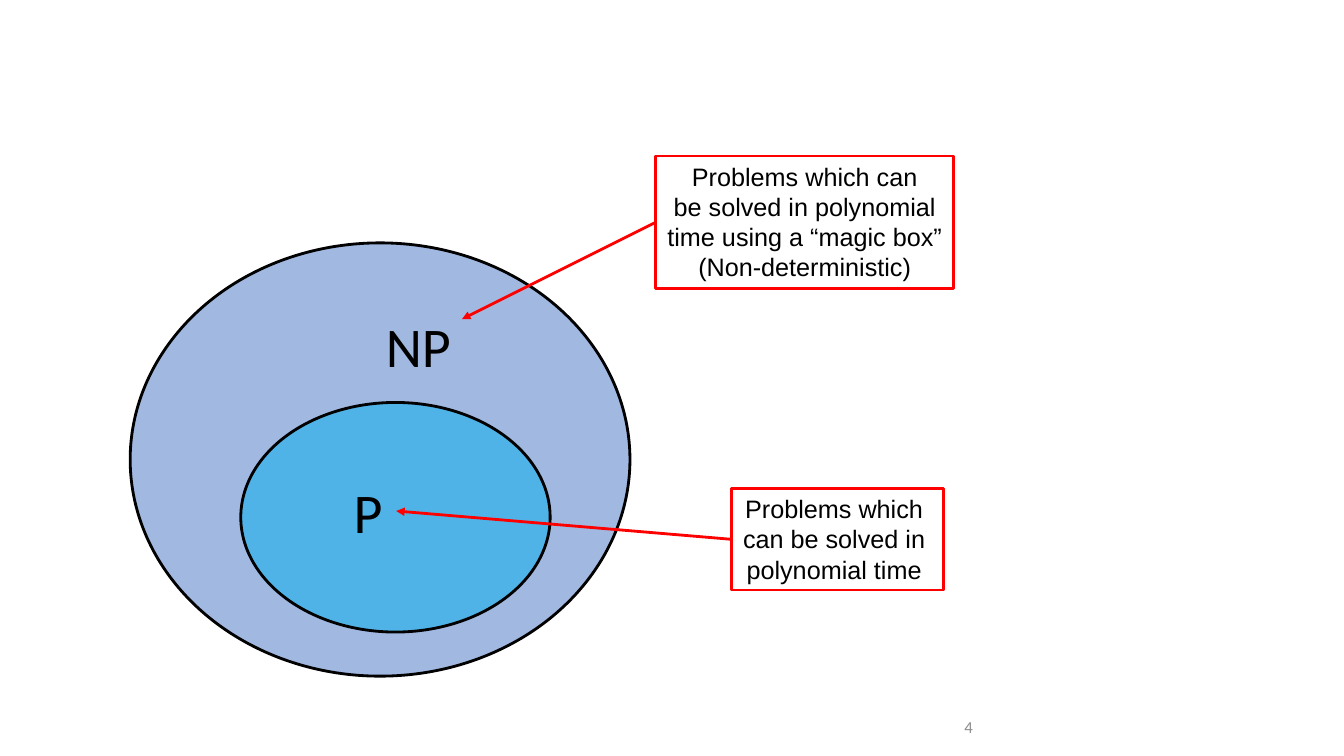
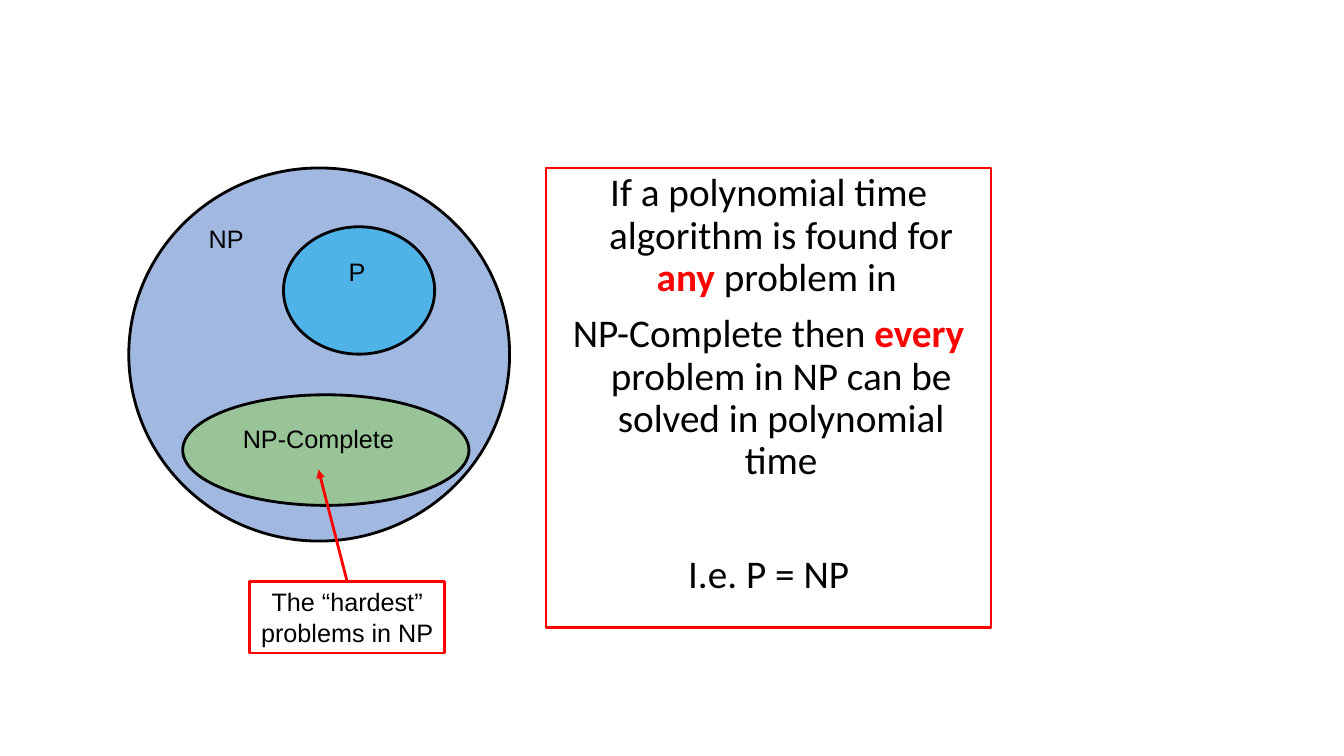
from lxml import etree
from pptx import Presentation
from pptx.dml.color import RGBColor
from pptx.enum.shapes import MSO_CONNECTOR, MSO_SHAPE
from pptx.enum.text import MSO_ANCHOR, PP_ALIGN
from pptx.oxml.ns import qn
from pptx.util import Pt

ELLIPSE, RECTANGLE = MSO_SHAPE.OVAL, MSO_SHAPE.RECTANGLE
STRAIGHT = MSO_CONNECTOR.STRAIGHT
LEFT, CENTER, RIGHT = PP_ALIGN.LEFT, PP_ALIGN.CENTER, PP_ALIGN.RIGHT
TOP, MIDDLE = MSO_ANCHOR.TOP, MSO_ANCHOR.MIDDLE
TOP_SIDE, LEFT_SIDE = 0, 1

COLORS = {"np": "4472C4", "p": "00B0F0", "complete": "92D050",
          "ink": "000000", "accent": "FF0000", "number": "8C8C8C"}
FONTS = {
    "small": {"name": "Arial", "size": Pt(18)},
    "large": {"name": "Calibri", "size": Pt(40)},
    "statement": {"name": "Calibri", "size": Pt(28)},
    "number": {"name": "Calibri", "size": Pt(12)},
}
OUTLINE = Pt(2)


def add_outlined(slide, kind, box, line, fill=None):
    """Add an outlined shape, half transparent if it is filled."""
    shape = slide.shapes.add_shape(kind, *map(Pt, box))
    shape.shadow.inherit = False
    shape.line.color.rgb = RGBColor.from_string(COLORS[line])
    shape.line.width = OUTLINE
    if fill:
        shape.fill.solid()
        shape.fill.fore_color.rgb = RGBColor.from_string(COLORS[fill])
        color = shape.fill._xPr.find(qn("a:solidFill"))[0]
        etree.SubElement(color, qn("a:alpha"), val="50000")
    else:
        shape.fill.background()
    return shape


def write_text(shape, paragraphs, font, align, anchor=TOP, wrap=True, color="ink"):
    """Write paragraphs, each a list of (text, emphasised) runs."""
    frame = shape.text_frame
    frame.word_wrap = wrap
    frame.vertical_anchor = anchor
    for index, runs in enumerate(paragraphs):
        paragraph = frame.paragraphs[0] if index == 0 else frame.add_paragraph()
        paragraph.alignment = align
        for text, emphasised in runs:
            run = paragraph.add_run()
            run.text = text
            for key, value in FONTS[font].items():
                setattr(run.font, key, value)
            run.font.bold = emphasised
            run.font.color.rgb = RGBColor.from_string(
                COLORS["accent" if emphasised else color])


# Content: sets, labels, and callouts with the point they explain
DIAGRAMS = [
    {
        "sets": [("np", (93, 173.5, 357, 309.5)), ("p", (172, 287.5, 221, 164))],
        "labels": [("P", "large", LEFT, (245.5, 337.5, 45.5, 55.5)),
                   ("NP", "large", LEFT, (268.5, 219, 96.5, 55.5))],
        "callouts": [
            (["Problems which can", "be solved in polynomial",
              "time using a “magic box”", "(Non-deterministic)"],
             (468.5, 111.5, 212.5, 94.5), LEFT_SIDE, (330, 228)),
            (["Problems which ", "can be solved in ", "polynomial time "],
             (522.5, 349, 151.5, 72.5), LEFT_SIDE, (283, 365)),
        ],
    },
    {
        "sets": [("np", (92, 120, 272, 266.5)), ("p", (202.5, 162, 108, 91)),
                 ("complete", (130.5, 282, 204.5, 79))],
        "labels": [("P", "small", LEFT, (242, 179.5, 33, 29)),
                   ("NP", "small", LEFT, (142, 156, 42, 29)),
                   ("NP-Complete", "small", CENTER, (165.5, 299, 124, 29))],
        "callouts": [(["The “hardest”", "problems in NP"],
                      (178.5, 415.5, 139, 51), TOP_SIDE, (227.5, 335.5))],
    },
]
STATEMENT = [
    [("If a polynomial time algorithm is found for ", False), ("any ", True),
     ("problem in ", False)],
    [("NP-Complete then ", False), ("every ", True),
     ("problem in NP can be solved in polynomial time", False)],
    [("I.e. P = NP", False)],
]
STATEMENT_GAPS = [0, 10, 51]

prs = Presentation()
prs.slide_width, prs.slide_height = Pt(960), Pt(540)
blank = prs.slide_layouts[6]

# Set diagrams
for diagram in DIAGRAMS:
    slide = prs.slides.add_slide(blank)
    for color, box in diagram["sets"]:
        add_outlined(slide, ELLIPSE, box, "ink", color)
    for text, font, align, box in diagram["labels"]:
        label = slide.shapes.add_textbox(*map(Pt, box))
        write_text(label, [[(text, False)]], font, align, wrap=align == LEFT)

    # Callouts and their arrows
    for lines, box, side, tip in diagram["callouts"]:
        callout = add_outlined(slide, RECTANGLE, box, "accent")
        write_text(callout, [[(line, False)] for line in lines], "small", CENTER,
                   wrap=False)
        arrow = slide.shapes.add_connector(STRAIGHT, 0, 0, *map(Pt, tip))
        arrow.begin_connect(callout, side)
        arrow.line.color.rgb = RGBColor.from_string(COLORS["accent"])
        arrow.line.width = OUTLINE
        etree.SubElement(arrow.line._get_or_add_ln(), qn("a:tailEnd"), type="triangle")
        etree.SubElement(arrow._element.spPr, qn("a:effectLst"))

# Slide number on the first slide
number = prs.slides[0].shapes.add_textbox(Pt(594), Pt(510), Pt(108), Pt(18))
write_text(number, [[("4", False)]], "number", RIGHT, MIDDLE, color="number")

# Statement on the second slide, with hanging indents
statement = add_outlined(prs.slides[1], RECTANGLE, (390, 120, 318, 328.5), "accent")
write_text(statement, STATEMENT, "statement", CENTER)
for paragraph, gap in zip(statement.text_frame.paragraphs, STATEMENT_GAPS):
    paragraph.line_spacing = 0.9
    paragraph.space_before = Pt(gap)
    properties = paragraph._p.get_or_add_pPr()
    properties.set("marL", str(Pt(18)))
    properties.set("indent", str(-Pt(18)))

prs.save("out.pptx")
